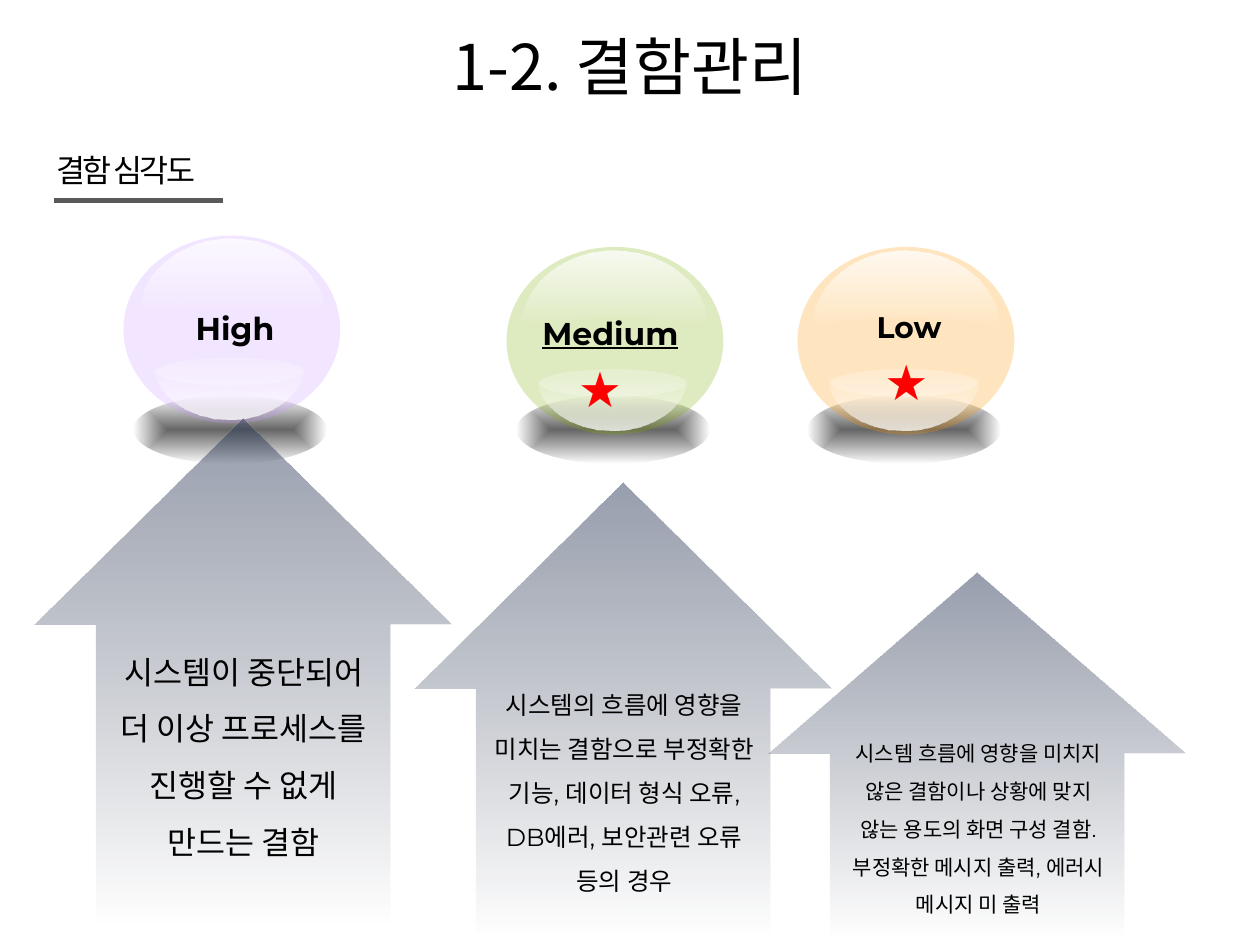
from lxml.etree import SubElement
from pptx import Presentation
from pptx.dml.color import RGBColor
from pptx.enum.shapes import MSO_CONNECTOR, MSO_SHAPE
from pptx.enum.text import MSO_ANCHOR, PP_ALIGN
from pptx.oxml.ns import qn
from pptx.util import Inches, Pt

BALLS = [
    ("Low", 6.33, 1.96, "FF9900", (0.12, 0.44), 17, False),
    ("Medium", 4.02, 1.96, "7FAC00", (0.06, 0.48), 18, True),
    ("High", 0.98, 1.87, "CC99FF", (0.12, 0.53), 18, False),
]
ARROWS = [
    (0.27, 3.32, 4.03, 4.98, 2.37, 18, "시스템이 중단되어 더 이상 프로세스를 진행할 수 없게 만드는 결함"),
    (3.29, 3.83, 3.61, 5.31, 1.87, 14,
     "시스템의 흐름에 영향을 미치는 결함으로 부정확한 기능, 데이터 형식 오류, DB에러, 보안관련 오류 등의 경우"),
    (6.1, 4.54, 2.91, 5.73, 1.62, 12,
     "시스템 흐름에 영향을 미치지 않은 결함이나 상황에 맞지 않는 용도의 화면 구성 결함. "
     "부정확한 메시지 출력, 에러시 메시지 미 출력"),
]
STARS = [(4.49, 2.8), (6.92, 2.74)]


def color(value):
    """Turn a hex string into a colour."""
    return RGBColor.from_string(value)


def add_alpha(element, percent):
    """Give a colour element its opacity."""
    SubElement(element, qn("a:alpha")).set("val", str(percent * 1000))


def fill_solid(shape, value, opacity):
    """Fill a shape with a translucent colour."""
    shape.fill.solid()
    shape.fill.fore_color.rgb = color(value)
    add_alpha(next(shape._element.spPr.iter(qn("a:srgbClr"))), opacity)


def fill_gradient(shape, stops, angle=None):
    """Fill with (colour, opacity) stops, linear or from the centre."""
    shape.fill.gradient()
    gradient = shape._element.spPr.find(qn("a:gradFill"))
    gradient.clear()
    gradient.set("rotWithShape", "1")
    stop_list = SubElement(gradient, qn("a:gsLst"))
    for position, (value, opacity) in zip((0, 100000), stops):
        stop = SubElement(stop_list, qn("a:gs"), pos=str(position))
        add_alpha(SubElement(stop, qn("a:srgbClr"), val=value), opacity)
    if angle is None:
        path = SubElement(gradient, qn("a:path"))
        path.set("path", "shape")
        SubElement(path, qn("a:fillToRect"), l="50000", t="50000", r="50000", b="50000")
    else:
        SubElement(gradient, qn("a:lin"), ang=str(angle * 60000), scaled="0")


def add_plain_shape(slide, kind, left, top, width, height):
    """Add a preset shape without line or shadow."""
    shape = slide.shapes.add_shape(kind, Inches(left), Inches(top), Inches(width), Inches(height))
    shape.shadow.inherit = False
    shape.line.fill.background()
    return shape


def format_text(paragraph, size, font, value="000000", bold=False, underline=False):
    """Format every run of a paragraph."""
    for run in paragraph.runs:
        run.font.size = Pt(size)
        run.font.name = font
        run.font.bold = bold
        run.font.underline = underline
        run.font.color.rgb = color(value)


def add_text(slide, text, left, top, width, height, size, font, align=PP_ALIGN.CENTER, wrap=True, **style):
    """Add a one-paragraph text box and return its paragraph."""
    box = slide.shapes.add_textbox(Inches(left), Inches(top), Inches(width), Inches(height))
    box.text_frame.word_wrap = wrap
    box.text_frame.text = text
    paragraph = box.text_frame.paragraphs[0]
    paragraph.alignment = align
    format_text(paragraph, size, font, **style)
    return paragraph


def add_title(slide):
    """Place and format the slide title."""
    title = slide.shapes.title
    title.left, title.top, title.width, title.height = map(Inches, (0.12, 0.05, 9.76, 0.94))
    title.text_frame.text = "1-2. 결함관리"
    title.text_frame.vertical_anchor = MSO_ANCHOR.MIDDLE
    paragraph = title.text_frame.paragraphs[0]
    paragraph.alignment = PP_ALIGN.CENTER
    format_text(paragraph, 36, "Noto Sans CJK KR")


def add_heading(slide, left, top):
    """Add the underlined section heading."""
    paragraph = add_text(slide, "결함 심각도", left, top, 1.42, 0.4, 18, "Arial", PP_ALIGN.LEFT)
    paragraph.runs[0]._r.rPr.set("spc", "-150")
    rule = slide.shapes.add_connector(
        MSO_CONNECTOR.STRAIGHT, Inches(left + 0.08), Inches(top + 0.44), Inches(left + 1.42), Inches(top + 0.44))
    rule.line.color.rgb = color("595959")
    rule.line.width = Pt(3)
    SubElement(rule._element.spPr, qn("a:effectLst"))


def add_bowl(slide, left, top, width, height):
    """Add the lower half-ellipse reflection of a ball as two curves."""
    builder = slide.shapes.build_freeform(Inches(left + width), Inches(top))
    builder.add_line_segments(
        [(Inches(left + width / 2), Inches(top + height)), (Inches(left), Inches(top))], close=True)
    bowl = builder.convert_to_shape()
    curves = [[(1, 0.55), (0.775, 1), (0.5, 1)], [(0.225, 1), (0, 0.55), (0, 0)]]
    for segment, curve in zip(list(bowl._element.spPr.iter(qn("a:lnTo"))), curves):
        bezier = segment.makeelement(qn("a:cubicBezTo"), {})
        for x, y in curve:
            SubElement(bezier, qn("a:pt"), x=str(Inches(x * width)), y=str(Inches(y * height)))
        segment.getparent().replace(segment, bezier)
    bowl.shadow.inherit = False
    bowl.line.fill.background()
    fill_gradient(bowl, [("FFFFFF", 0), ("FFFFFF", 80)], 90)


def add_ball(slide, label, left, top, value, label_offset, label_size, underline):
    """Add a glossy ball with its shadow and label."""
    shadow = add_plain_shape(slide, MSO_SHAPE.OVAL, left + 0.08, 3.14, 1.53, 0.54)
    fill_gradient(shadow, [("000000", 60), ("000000", 0)])
    ball = add_plain_shape(slide, MSO_SHAPE.OVAL, left, top, 1.72, 1.49)
    fill_solid(ball, value, 25)
    gloss = add_plain_shape(slide, MSO_SHAPE.MOON, left + 0.55, top - 0.41, 0.61, 1.48)
    gloss.rotation = 90
    gloss.adjustments[0] = 0.875
    fill_gradient(gloss, [("FFFFFF", 80), ("FFFFFF", 0)], 0)
    add_text(slide, label, left + label_offset[0], top + label_offset[1], 1.53, 0.4,
             label_size, "Montserrat", bold=True, underline=underline)
    rim = add_plain_shape(slide, MSO_SHAPE.OVAL, left + 0.26, top + 0.97, 1.17, 0.22)
    fill_solid(rim, "FFFFFF", 25)
    add_bowl(slide, left + 0.24, top + 1.01, 1.2, 0.45)


def add_arrow(slide, left, top, height, text_top, text_height, size, text):
    """Add a fading up arrow with its description."""
    arrow = add_plain_shape(slide, MSO_SHAPE.UP_ARROW, left, top, 3.31, height)
    arrow.adjustments[0] = 0.705
    arrow.adjustments[1] = 0.494
    fill_gradient(arrow, [("2D3B59", 50), ("202A40", 0)], 90)
    paragraph = add_text(slide, text, left + 0.52, text_top, 2.29, text_height, size, "Montserrat")
    paragraph.line_spacing = 1.5


def main():
    """Build and save the slide."""
    presentation = Presentation()
    presentation.slide_width, presentation.slide_height = Inches(10), Inches(7.5)
    slide = presentation.slides.add_slide(presentation.slide_layouts[5])
    add_title(slide)
    add_heading(slide, 0.35, 1.15)
    for ball in BALLS:
        add_ball(slide, *ball)
    for arrow in ARROWS:
        add_arrow(slide, *arrow)
    for left, top in STARS:
        add_text(slide, "★", left, top, 0.59, 0.57, 28, "Arial", PP_ALIGN.LEFT, False, value="FF0000", bold=True)
    presentation.save("out.pptx")


if __name__ == "__main__":
    main()
